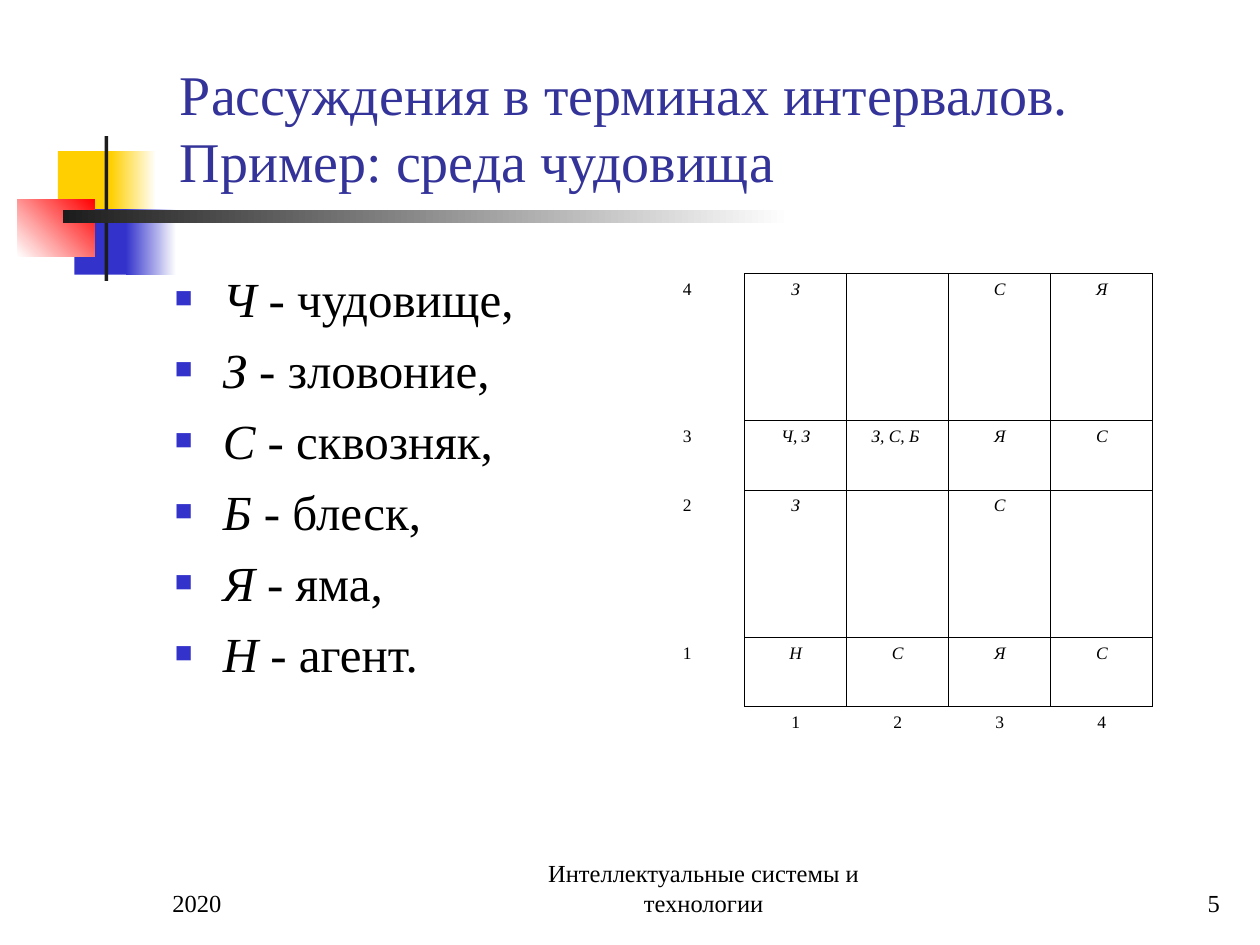
"""Build the slide on interval reasoning in the monster world."""
from typing import Any, NamedTuple, Optional

from lxml import etree
from pptx import Presentation
from pptx import util as u
from pptx.dml.color import RGBColor
from pptx.enum import shapes, text
from pptx.oxml import ns

BLACK = RGBColor(0x00, 0x00, 0x00)
WHITE = RGBColor(0xFF, 0xFF, 0xFF)
GOLD = RGBColor(0xFF, 0xCF, 0x01)
BLUE = RGBColor(0x33, 0x33, 0xCC)
NAVY = RGBColor(0x33, 0x33, 0x99)
RED = RGBColor(0xFF, 0x00, 0x00)
COAL = RGBColor(0x1C, 0x1C, 0x1C)
FACE = "Times New Roman"
LEFT, MID, RIGHT = text.PP_ALIGN.LEFT, text.PP_ALIGN.CENTER, text.PP_ALIGN.RIGHT
TOP, BASE = text.MSO_ANCHOR.TOP, text.MSO_ANCHOR.BOTTOM


class Block(NamedTuple):
    box: tuple[float, float, float, float]
    start: RGBColor
    end: Optional[RGBColor] = None
    angle: int = 0


class Label(NamedTuple):
    box: tuple[float, float, float, float]
    lines: list[str]
    size: int
    color: RGBColor = BLACK
    align: Any = LEFT
    anchor: Any = BASE
    listed: bool = False


BLOCKS = [
    Block((0.46, 1.2, 0.48, 0.52), GOLD),
    Block((0.88, 1.2, 0.36, 0.52), GOLD, WHITE),
    Block((0.59, 1.66, 0.46, 0.52), BLUE),
    Block((1, 1.66, 0.4, 0.52), BLUE, WHITE),
    Block((0.14, 1.58, 0.61, 0.46), WHITE, RED, 45),
    Block((0.83, 1.08, 0.03, 1.15), COAL),
    Block((0.5, 1.67, 5.77, 0.1), COAL, WHITE),
]
LABELS = [
    Label((4, 6.83, 3.17, 0.5), ["Интеллектуальные системы и технологии"], 14, align=MID),
    Label((7.7, 6.83, 2.08, 0.5), ["5"], 14, align=RIGHT),
    Label((1.33, 0.17, 8.52, 1.42),
          ["Рассуждения в терминах интервалов. Пример: среда чудовища"], 32, NAVY),
    Label((1.29, 2.08, 4.17, 4.62),
          ["*Ч* - чудовище,", "*З *- зловоние,", "*С *- сквозняк,",
           "*Б *- блеск,", "*Я *- яма,", "*Н* - агент."],
          28, anchor=TOP, listed=True),
    Label((1.27, 6.83, 2.08, 0.5), ["2020"], 14),
]
WORLD = [
    ["4", "*З*", "", "*С*", "*Я*"],
    ["3", "*Ч*, *З*", "*З, С, Б *", "*Я*", "*С*"],
    ["2", "*З*", "", "*С*", ""],
    ["1", "*Н*", "*С*", "*Я*", "*С*"],
    ["", "1", "2", "3", "4"],
]
WIDTHS = [0.91] + [0.81] * 4
HEIGHTS = [1.17, 0.55, 1.17, 0.55, 1.17]
SIDES = {"L": (0, -1), "R": (0, 1), "T": (-1, 0), "B": (1, 0)}


def apply(target: Any, values: dict[str, Any]) -> None:
    """Set each named value on the target."""
    for name, value in values.items():
        setattr(target, name, value)


def inches(box: tuple[float, ...]) -> list[u.Length]:
    """Turn a box of numbers into lengths."""
    return [u.Inches(value) for value in box]


def write(para: Any, line: str, size: int, color: RGBColor) -> None:
    """Write a line whose starred parts are italic."""
    for index, part in enumerate(line.split("*")):
        if part:
            run = para.add_run()
            run.text = part
            apply(run.font, {"name": FACE, "size": u.Pt(size), "italic": index % 2 == 1})
            run.font.color.rgb = color


def add_mark(para: Any) -> None:
    """Give a paragraph its square bullet and hanging indent."""
    para.space_before = u.Pt(7)
    props = para._p.get_or_add_pPr()
    props.set("marL", str(u.Inches(0.38)))
    props.set("indent", str(-u.Inches(0.38)))
    tint = etree.SubElement(props, ns.qn("a:buClr"))
    etree.SubElement(tint, ns.qn("a:srgbClr"), val=str(BLUE))
    etree.SubElement(props, ns.qn("a:buSzPct"), val="60000")
    etree.SubElement(props, ns.qn("a:buFont"), typeface=FACE)
    etree.SubElement(props, ns.qn("a:buChar"), char="■")


def add_block(slide: Any, block: Block) -> None:
    """Draw a plain or fading rectangle."""
    shape = slide.shapes.add_shape(shapes.MSO_SHAPE.RECTANGLE, *inches(block.box))
    shape.shadow.inherit = False
    shape.line.fill.background()
    if block.end is None:
        shape.fill.solid()
        shape.fill.fore_color.rgb = block.start
        return
    shape.fill.gradient()
    shape.fill.gradient_angle = block.angle
    for stop, color in zip(shape.fill.gradient_stops, (block.start, block.end)):
        stop.color.rgb = color


def add_label(slide: Any, label: Label) -> None:
    """Draw a text box with one paragraph per line."""
    frame = slide.shapes.add_textbox(*inches(label.box)).text_frame
    apply(frame, {"word_wrap": True, "vertical_anchor": label.anchor})
    for index, line in enumerate(label.lines):
        para = frame.add_paragraph() if index else frame.paragraphs[0]
        para.alignment = label.align
        if label.listed:
            add_mark(para)
        write(para, line, label.size, label.color)


def in_world(row: int, col: int) -> bool:
    """Tell whether a cell is a square of the world."""
    return 0 <= row < 4 and 1 <= col < 5


def add_edges(cell: Any, row: int, col: int) -> None:
    """Line each side of a cell that touches the world."""
    props = cell._tc.get_or_add_tcPr()
    for side, (down, across) in SIDES.items():
        edge = etree.SubElement(props, ns.qn(f"a:ln{side}"), w=str(u.Pt(0.45)))
        if in_world(row, col) or in_world(row + down, col + across):
            fill = etree.SubElement(edge, ns.qn("a:solidFill"))
            etree.SubElement(fill, ns.qn("a:srgbClr"), val=str(BLACK))
        else:
            etree.SubElement(edge, ns.qn("a:noFill"))


def add_world(slide: Any) -> None:
    """Draw the numbered map of the world."""
    box = inches((5, 2.17, sum(WIDTHS), sum(HEIGHTS)))
    table = slide.shapes.add_table(len(WORLD), len(WIDTHS), *box).table
    apply(table, {"first_row": False, "horz_banding": False})
    for col, width in zip(table.columns, WIDTHS):
        col.width = u.Inches(width)
    for row, height in zip(table.rows, HEIGHTS):
        row.height = u.Inches(height)
    for row, words in enumerate(WORLD):
        for col, word in enumerate(words):
            cell = table.cell(row, col)
            add_edges(cell, row, col)
            cell.fill.background()
            para = cell.text_frame.paragraphs[0]
            para.alignment = MID
            write(para, word, 10, BLACK)


def main() -> None:
    """Build and save the slide."""
    deck = Presentation()
    apply(deck, {"slide_width": u.Inches(10), "slide_height": u.Inches(7.5)})
    slide = deck.slides.add_slide(deck.slide_layouts[6])
    for block in BLOCKS:
        add_block(slide, block)
    for label in LABELS:
        add_label(slide, label)
    add_world(slide)
    deck.save("out.pptx")


if __name__ == "__main__":
    main()
